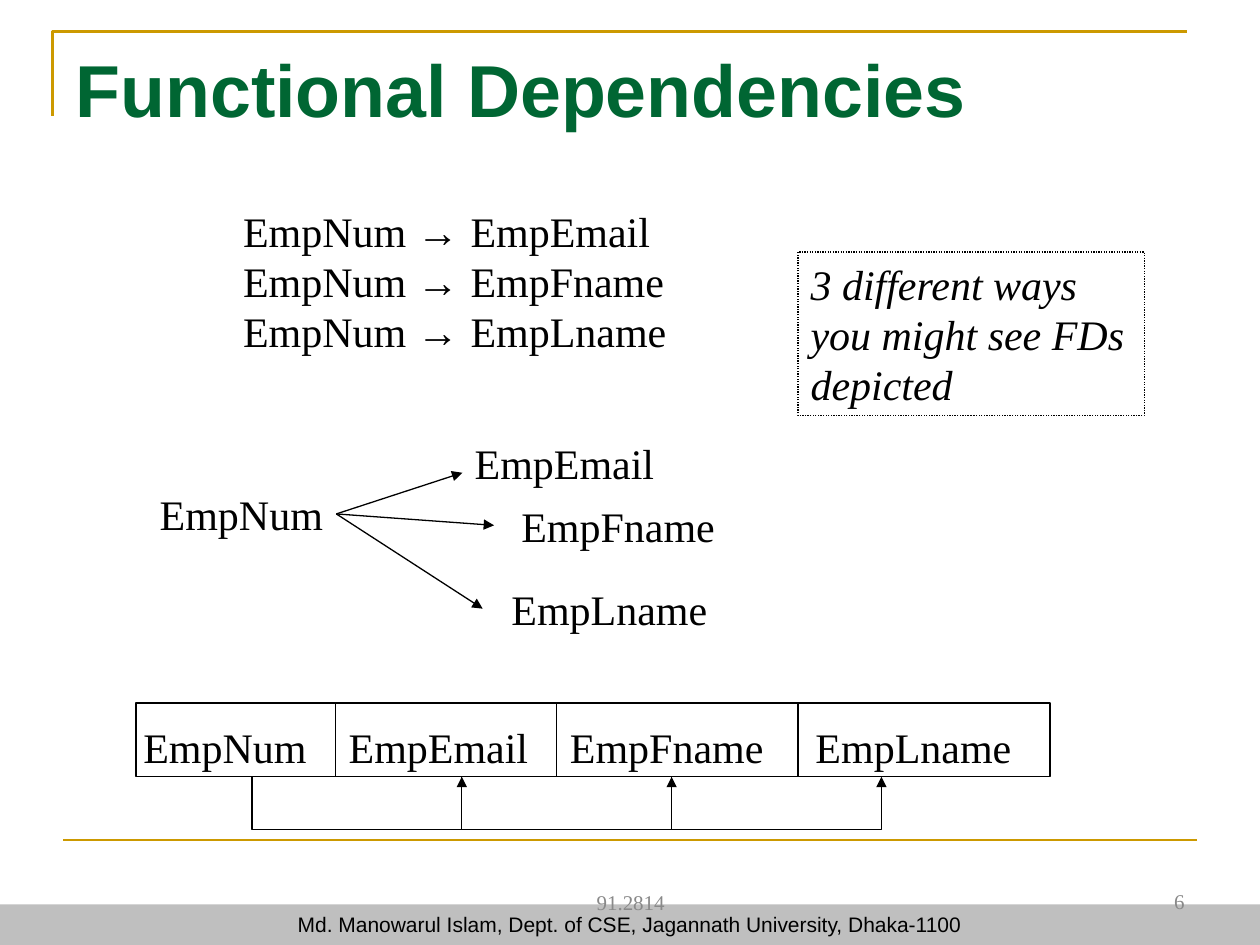
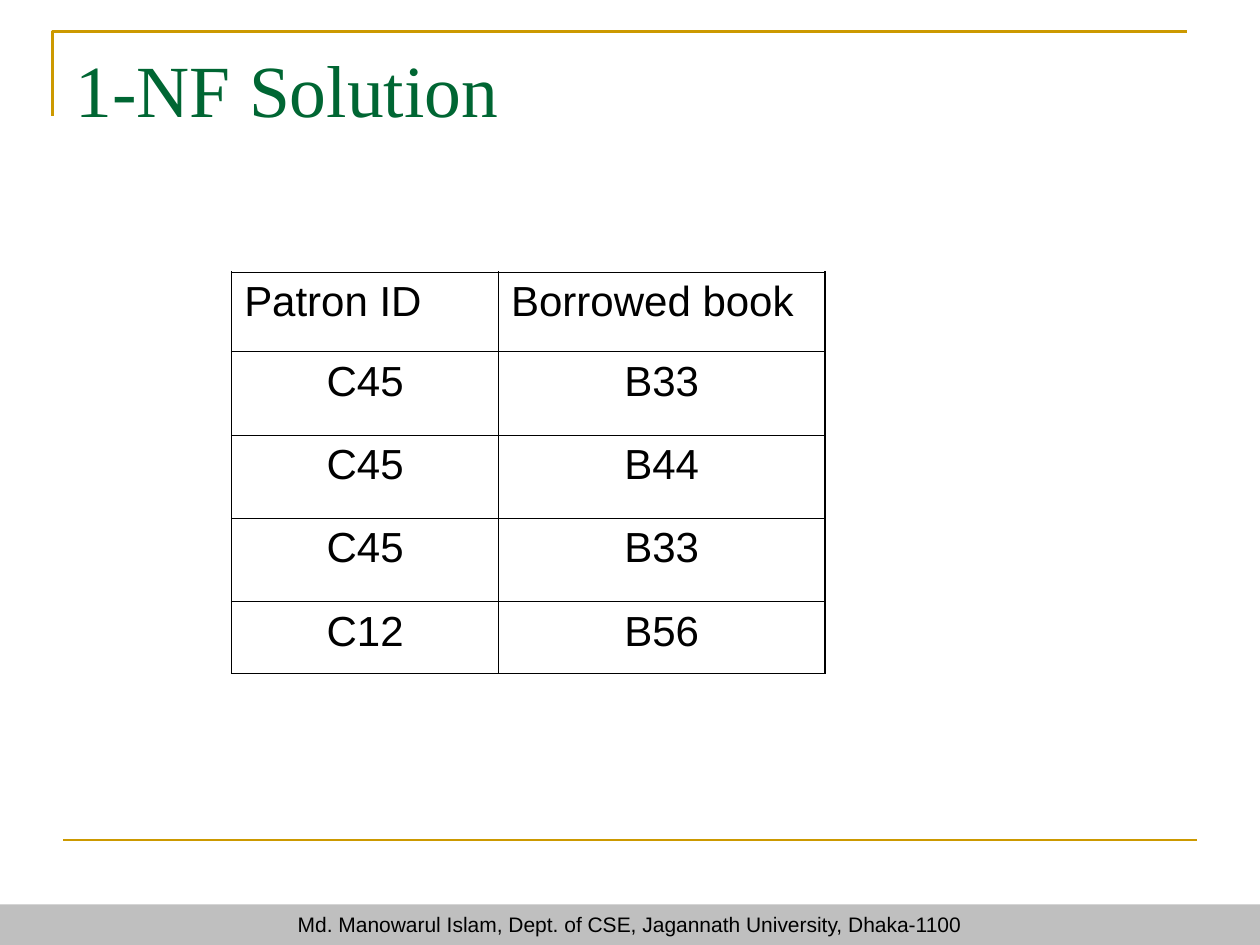
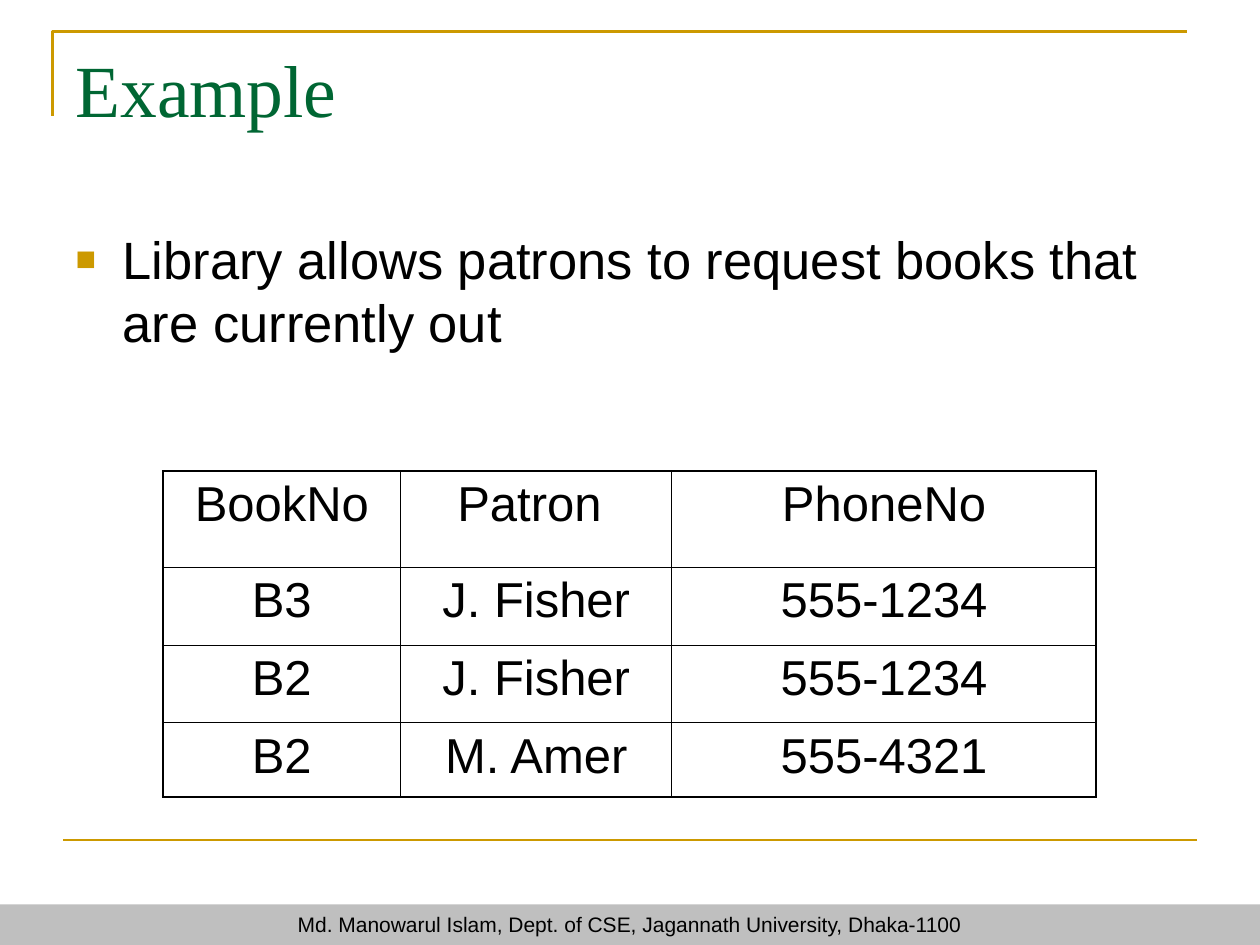
from itertools import pairwise

from lxml import etree
from pptx import Presentation
from pptx.dml import color
from pptx.enum import dml, shapes, text
from pptx.oxml import ns
from pptx.util import Cm, Pt

COLORS = {"gold": "CC9900", "green": "006633", "band": "BFBFBF",
          "gray": "898989", "black": "000000", "white": "FFFFFF"}
SERIF, SANS = "Times New Roman", "Arial"
LEFT, CENTER, RIGHT = (text.PP_ALIGN.LEFT, text.PP_ALIGN.CENTER,
                       text.PP_ALIGN.RIGHT)
TOP, MIDDLE = text.MSO_ANCHOR.TOP, text.MSO_ANCHOR.MIDDLE
LEADING = 1.2
FOOTER = "Md. Manowarul Islam, Dept. of CSE, Jagannath University, Dhaka-1100"


# Helpers
def rgb(name):
    return color.RGBColor.from_string(COLORS[name])


def box(*lengths):
    return [Cm(length) for length in lengths]


def set_format(target, **values):
    for name, value in values.items():
        setattr(target, name, value)


def add_xml(parent, tag, **attributes):
    return etree.SubElement(parent, ns.qn(tag), attributes)


def set_line(shape, name="black", width=0.75, arrow=False):
    shape.line.color.rgb = rgb(name)
    shape.line.width = Pt(width)
    if arrow:
        line = shape._element.spPr.find(ns.qn("a:ln"))
        add_xml(line, "a:tailEnd", type="triangle")


# Text
def write(frame, lines, size=24, font=SERIF, fill="black", align=LEFT,
          anchor=TOP, wrap=True, leading=LEADING, bold=False, italic=False):
    """Write lines; a line is a string or a list of (words, font) pairs."""
    set_format(frame, word_wrap=wrap, auto_size=text.MSO_AUTO_SIZE.NONE,
               vertical_anchor=anchor)
    for index, line in enumerate(lines):
        paragraph = frame.add_paragraph() if index else frame.paragraphs[0]
        set_format(paragraph, alignment=align, space_before=Pt(0),
                   line_spacing=Pt(size * leading) if leading else 1.0)
        for words, face in [(line, font)] if isinstance(line, str) else line:
            run = paragraph.add_run()
            run.text = words
            set_format(run.font, name=face, size=Pt(size), bold=bold,
                       italic=italic)
            run.font.color.rgb = rgb(fill)


def add_text(slide, place, lines, **style):
    frame = slide.shapes.add_textbox(*box(*place)).text_frame
    write(frame, lines, **style)
    return frame


def place_placeholder(shape, place):
    set_format(shape, **dict(zip(("left", "top", "width", "height"),
                                 box(*place))))


# Shapes
def add_rectangle(slide, place, fill=None):
    shape = slide.shapes.add_shape(shapes.MSO_SHAPE.RECTANGLE, *box(*place))
    shape.shadow.inherit = False
    if fill:
        shape.fill.solid()
        shape.fill.fore_color.rgb = rgb(fill)
        shape.line.fill.background()
    else:
        shape.fill.background()
        set_line(shape)
    return shape


def add_line(slide, start, end, **style):
    connector = slide.shapes.add_connector(
        shapes.MSO_CONNECTOR.STRAIGHT, *box(*start, *end))
    set_line(connector, **style)
    add_xml(connector._element.spPr, "a:effectLst")


def add_path(slide, points, **style):
    start, *others = [box(*point) for point in points]
    builder = slide.shapes.build_freeform(*start)
    builder.add_line_segments(others, close=False)
    shape = builder.convert_to_shape()
    shape.shadow.inherit = False
    shape.fill.background()
    set_line(shape, **style)


# Tables
def set_borders(cell, widths):
    properties = cell._tc.get_or_add_tcPr()
    for index, (side, width) in enumerate(widths.items()):
        line = etree.Element(ns.qn(f"a:{side}"), {"w": str(Pt(width))})
        fill = add_xml(line, "a:solidFill")
        add_xml(fill, "a:srgbClr", val=COLORS["black"])
        properties.insert(index, line)


def add_grid(slide, corner, columns, heights, rows, size, header_align=CENTER):
    frame = slide.shapes.add_table(
        len(rows), len(columns),
        *box(*corner, sum(columns), sum(heights)))
    table = frame.table
    set_format(table, first_row=False, horz_banding=False)
    for column, width in zip(table.columns, columns):
        column.width = Cm(width)
    for r, (values, height) in enumerate(zip(rows, heights)):
        table.rows[r].height = Cm(height)
        for c, value in enumerate(values):
            cell = table.cell(r, c)
            cell.fill.solid()
            cell.fill.fore_color.rgb = rgb("white")
            write(cell.text_frame, [value], size=size, font=SANS, leading=None,
                  align=CENTER if r else header_align)
            outer = {"lnL": c == 0, "lnR": c == len(columns) - 1,
                     "lnT": r == 0, "lnB": r == len(rows) - 1}
            set_borders(cell, {side: 1.08 if edge else 0.45
                               for side, edge in outer.items()})


# Shared slide frame: gold lines, footer band, title
def add_slide(presentation, title, layout=5, **title_style):
    slide = presentation.slides.add_slide(presentation.slide_layouts[layout])
    add_path(slide, [(1.06, 2.33), (1.06, 0.63), (23.92, 0.63)],
             name="gold", width=1.5)
    add_line(slide, (1.27, 16.93), (24.13, 16.93), name="gold", width=1.5)
    band = add_rectangle(slide, (0, 18.23, 25.4, 0.82), fill="band")
    write(band.text_frame, [FOOTER], size=12, font=SANS, align=CENTER,
          anchor=MIDDLE, leading=None)
    place_placeholder(slide.shapes.title, (1.27, 0.76, 22.86, 3.18))
    write(slide.shapes.title.text_frame, [title], size=42, fill="green",
          **title_style)
    return slide


def add_bullet(slide, line):
    body = slide.placeholders[1]
    place_placeholder(body, (1.27, 4.44, 22.86, 12.57))
    properties = body.text_frame.paragraphs[0]._p.get_or_add_pPr()
    set_indent(properties, 0.95, -0.95)
    bullet_color = add_xml(properties, "a:buClr")
    add_xml(bullet_color, "a:srgbClr", val=COLORS["gold"])
    add_xml(properties, "a:buSzPct", val="65000")
    add_xml(properties, "a:buChar", char="■")
    write(body.text_frame, [line], size=30, font=SANS)


def set_indent(properties, margin, first=0):
    properties.set("marL", str(Cm(margin)))
    properties.set("indent", str(Cm(first)))


# Slides
def dependencies_slide(presentation):
    slide = add_slide(presentation, "Functional Dependencies",
                      font=SANS, bold=True)
    small = dict(size=12, fill="gray", anchor=MIDDLE, leading=None)
    add_text(slide, (8.69, 17.68, 8.05, 1.02), ["91.2814"],
             align=CENTER, **small)
    add_text(slide, (18.21, 17.65, 5.92, 1.02), ["6"], align=RIGHT, **small)

    # Dependencies as formulas
    formulas = add_text(
        slide, (1.9, 4.01, 11.99, 3.3),
        [[("EmpNum ", SERIF), ("→ ", SANS), (name, SERIF)]
         for name in ("EmpEmail", "EmpFname", "EmpLname")])
    for paragraph in formulas.paragraphs:
        set_indent(paragraph._p.get_or_add_pPr(), 2.75)

    # Dependencies as a fan of arrows
    for name, left, top, width in (("EmpNum", 2.97, 9.73, 3.78),
                                   ("EmpEmail", 9.32, 8.69, 4.11),
                                   ("EmpFname", 10.26, 9.96, 4.39),
                                   ("EmpLname", 10.06, 11.63, 4.45)):
        add_text(slide, (left, top, width, 1.27), [name], wrap=False)
    for end in ((9.32, 9.53), (9.96, 10.59), (9.73, 12.27)):
        add_line(slide, (6.78, 10.36), end, arrow=True)

    # Dependencies below a relation header
    header = add_text(slide, (2.64, 14.43, 20.52, 1.27),
                      ["EmpNum\tEmpEmail\tEmpFname\tEmpLname"])
    tabs = add_xml(header.paragraphs[0]._p.get_or_add_pPr(), "a:tabLst")
    for stop in (4.14, 8.6, 13.55):
        add_xml(tabs, "a:tab", pos=str(Cm(stop)), algn="l")
    for left, right in pairwise((2.74, 6.77, 11.22, 16.09, 21.17)):
        add_rectangle(slide, (left, 14.17, right - left, 1.49))
    for left, right in pairwise(5.08 + 4.23 * i for i in range(4)):
        add_path(slide, [(left, 15.66), (left, 16.72), (right, 16.72),
                         (right, 15.66)], arrow=True)

    # Note
    note = add_rectangle(slide, (16.09, 5.08, 6.98, 3.3))
    note.line.dash_style = dml.MSO_LINE.ROUND_DOT
    write(note.text_frame, ["3 different ways you might see FDs depicted"],
          italic=True)


def solution_slide(presentation):
    slide = add_slide(presentation, "1-NF Solution")
    add_grid(slide, (4.67, 5.49), (5.38, 6.58), (1.6, 1.68, 1.68, 1.68, 1.45),
             [("Patron ID", "Borrowed book"), ("C45", "B33"), ("C45", "B44"),
              ("C45", "B33"), ("C12", "B56")], size=24, header_align=LEFT)


def example_slide(presentation):
    slide = add_slide(presentation, "Example", layout=1)
    add_bullet(slide, "Library allows patrons to request books that are "
                      "currently out")
    add_grid(slide, (3.28, 9.5), (4.8, 5.46, 8.56), (1.93, 1.57, 1.57, 1.5),
             [("BookNo", "Patron ", "PhoneNo"),
              ("B3", "J. Fisher", "555-1234"),
              ("B2", "J. Fisher", "555-1234"),
              ("B2", "M. Amer", "555-4321")], size=28)


def main():
    presentation = Presentation()
    set_format(presentation, slide_width=Cm(25.4), slide_height=Cm(19.05))
    dependencies_slide(presentation)
    solution_slide(presentation)
    example_slide(presentation)
    presentation.save("out.pptx")


if __name__ == "__main__":
    main()
